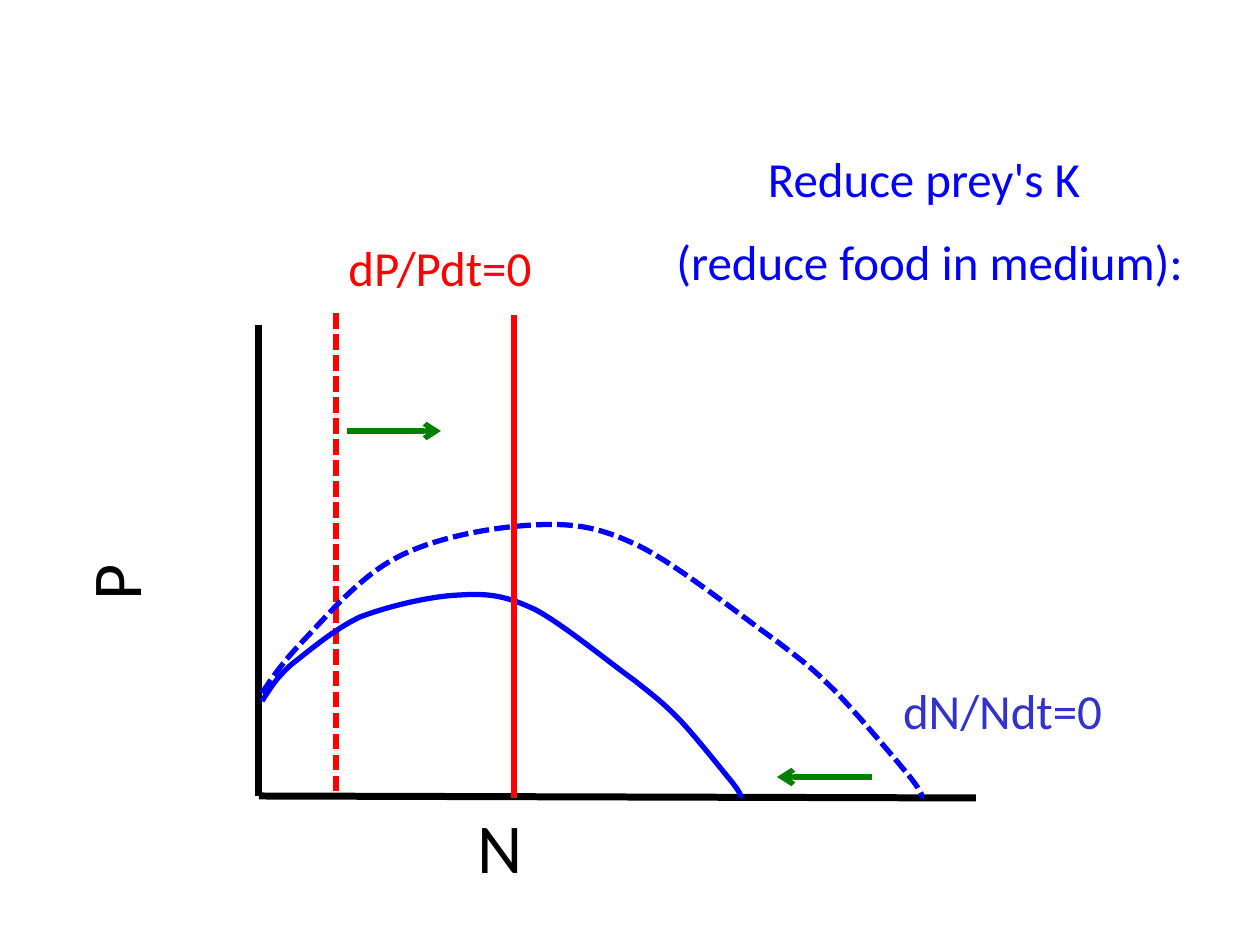
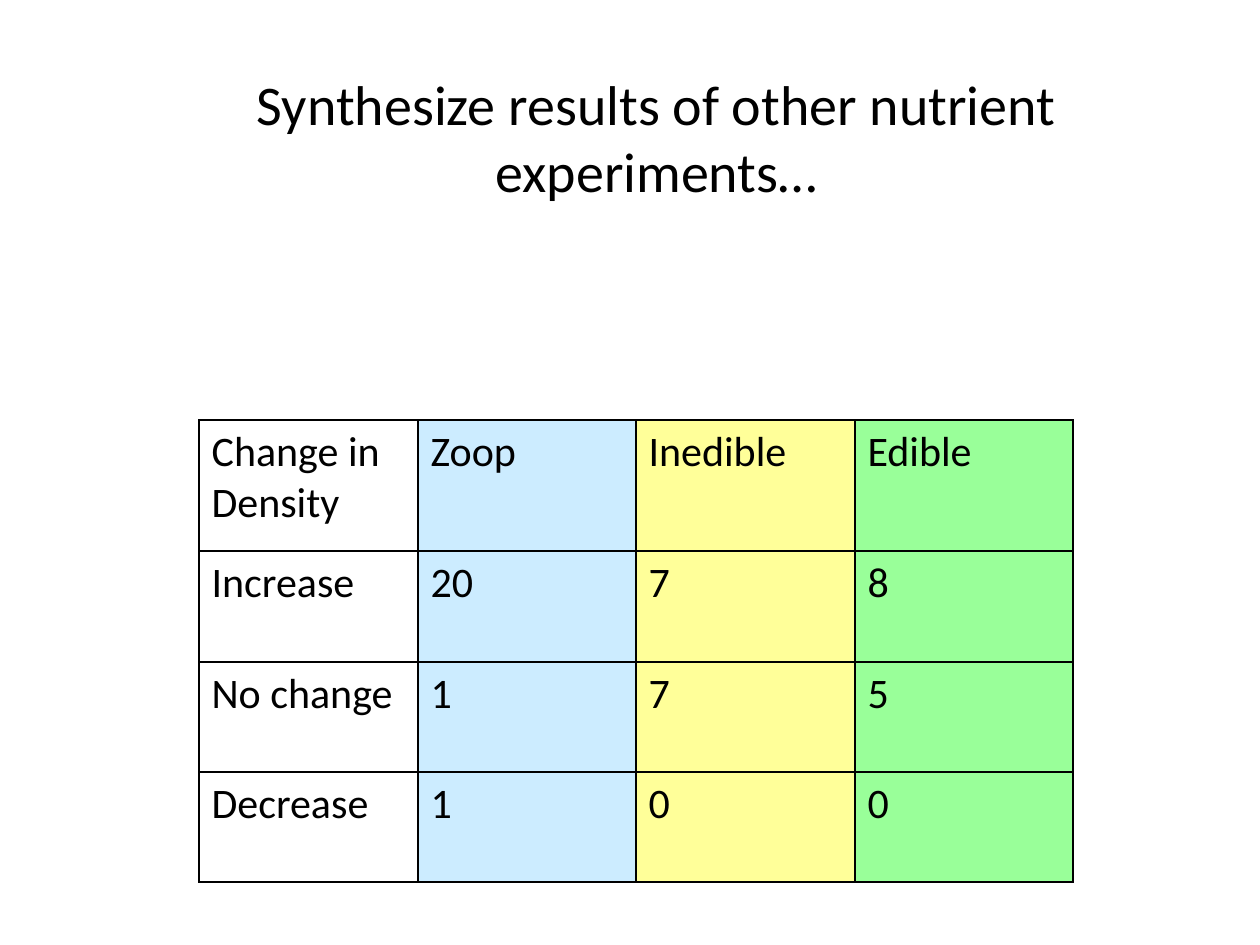
from lxml.etree import SubElement
from pptx import Presentation
from pptx.dml.color import RGBColor
from pptx.enum.dml import MSO_LINE
from pptx.enum.shapes import MSO_CONNECTOR
from pptx.enum.text import MSO_ANCHOR, MSO_AUTO_SIZE, PP_ALIGN
from pptx.oxml.ns import qn
from pptx.util import Pt

EMU_PER_PX = 914400 / 126
FONT = "Calibri"
TITLE_ONLY = 5

BLACK = RGBColor(0x00, 0x00, 0x00)
RED = RGBColor(0xFF, 0x00, 0x00)
BLUE = RGBColor(0x00, 0x00, 0xFF)
INDIGO = RGBColor(0x33, 0x33, 0xCC)
GREEN = RGBColor(0x00, 0x80, 0x00)
PALE_BLUE = RGBColor(0xCC, 0xEC, 0xFF)
PALE_YELLOW = RGBColor(0xFF, 0xFF, 0x99)
PALE_GREEN = RGBColor(0x99, 0xFF, 0x99)

HIGH_K_ISOCLINE = [
    (262, 693), (272, 678), (282, 663), (304, 640), (326, 617),
    (360, 576), (398, 557), (436, 537), (494, 527), (534, 525),
    (575, 523), (599, 527), (639, 546), (679, 566), (741, 616),
    (775, 640), (808, 665), (814, 670), (837, 693), (859, 716),
    (896, 760), (910, 777), (924, 795), (922, 796), (921, 798),
]
LOW_K_ISOCLINE = [
    (262, 701), (270, 689), (276, 678), (292, 664), (309, 651),
    (333, 630), (360, 617), (389, 606), (431, 596), (460, 595),
    (489, 593), (507, 596), (536, 610), (564, 625), (610, 663),
    (634, 680), (658, 699), (663, 703), (679, 719), (696, 737),
    (722, 770), (732, 782), (742, 795), (741, 796), (740, 798),
]

DENSITY_CHANGES = [
    ["Change in Density", "Zoop", "Inedible", "Edible"],
    ["Increase", "20", "7", "8"],
    ["No change", "1", "7", "5"],
    ["Decrease", "1", "0", "0"],
]
COLUMN_FILLS = [None, PALE_BLUE, PALE_YELLOW, PALE_GREEN]
COLUMN_WIDTHS = [219, 218, 219, 218]
ROW_HEIGHTS = [131, 111, 110, 110]


def px(length):
    """Turn a length in px into EMU."""
    return round(length * EMU_PER_PX)


def write(frame, text, size, color, align=PP_ALIGN.LEFT):
    """Put text in a frame and format every paragraph alike."""
    frame.text = text
    for index, paragraph in enumerate(frame.paragraphs):
        paragraph.alignment = align
        paragraph.space_before = Pt(size / 2 if index else 0)
        for run in paragraph.runs:
            run.font.name = FONT
            run.font.size = Pt(size)
            run.font.color.rgb = color


def add_titled_slide(deck, title, box, size, color):
    """Add a slide whose title placeholder fills the given box."""
    slide = deck.slides.add_slide(deck.slide_layouts[TITLE_ONLY])
    heading = slide.shapes.title
    heading.left, heading.top, heading.width, heading.height = map(px, box)
    frame = heading.text_frame
    frame.auto_size = MSO_AUTO_SIZE.NONE
    frame.vertical_anchor = MSO_ANCHOR.TOP
    write(frame, title, size, color, PP_ALIGN.CENTER)
    return slide


def add_isocline_label(slide, text, box, color, align=PP_ALIGN.LEFT):
    """Add the equation that names an isocline."""
    label = slide.shapes.add_textbox(*map(px, box))
    label.text_frame.word_wrap = True
    write(label.text_frame, text, 28, color, align)


def add_axis_label(slide, text, box, rotation=0):
    """Add the large letter that names an axis."""
    label = slide.shapes.add_textbox(*map(px, box))
    label.rotation = rotation
    label.text_frame.word_wrap = False
    write(label.text_frame, text, 40, BLACK)
    label.text_frame.paragraphs[0].line_spacing = 1.15


def style_line(line, color, width, dashed=False):
    """Set the colour, width in points and dash of a line."""
    line.color.rgb = color
    line.width = Pt(width)
    if dashed:
        line.dash_style = MSO_LINE.SQUARE_DOT


def add_line(slide, start, end, color, width=3, dashed=False, arrow=False):
    """Add a straight line, with an arrowhead at its end if wanted."""
    connector = slide.shapes.add_connector(
        MSO_CONNECTOR.STRAIGHT, *map(px, start + end))
    style_line(connector.line, color, width, dashed)
    properties = connector._element.spPr
    if arrow:
        SubElement(properties.find(qn("a:ln")), qn("a:tailEnd"), type="arrow")
    SubElement(properties, qn("a:effectLst"))


def round_segments(curve):
    """Turn each three straight segments of an outline into one Bezier."""
    outline = curve._element.spPr.find(".//" + qn("a:path"))
    segments = outline.findall(qn("a:lnTo"))
    for first in range(0, len(segments), 3):
        bezier = SubElement(outline, qn("a:cubicBezTo"))
        for segment in segments[first:first + 3]:
            bezier.append(segment[0])
            outline.remove(segment)


def add_curve(slide, controls, color, dashed=False):
    """Add an open smooth curve through a chain of Bezier controls."""
    start, *others = [(px(x), px(y)) for x, y in controls]
    builder = slide.shapes.build_freeform(*start)
    builder.add_line_segments(others, close=False)
    curve = builder.convert_to_shape()
    round_segments(curve)
    curve.fill.background()
    curve.shadow.inherit = False
    style_line(curve.line, color, 3, dashed)


def add_borders(cell):
    """Draw a thin black line on each side of a cell."""
    properties = cell._tc.get_or_add_tcPr()
    for side in ("lnL", "lnR", "lnT", "lnB"):
        border = SubElement(properties, qn(f"a:{side}"), w=str(Pt(1)))
        fill = SubElement(border, qn("a:solidFill"))
        SubElement(fill, qn("a:srgbClr"), val=str(BLACK))


def add_density_table(slide, left, top):
    """Add the table of density changes, one fill per column."""
    table = slide.shapes.add_table(
        len(ROW_HEIGHTS), len(COLUMN_WIDTHS), px(left), px(top),
        px(sum(COLUMN_WIDTHS)), px(sum(ROW_HEIGHTS))).table
    table.first_row = table.horz_banding = False
    for column, width in zip(table.columns, COLUMN_WIDTHS):
        column.width = px(width)
    for row, height, values in zip(table.rows, ROW_HEIGHTS, DENSITY_CHANGES):
        row.height = px(height)
        for cell, value, tint in zip(row.cells, values, COLUMN_FILLS):
            write(cell.text_frame, value, 24, BLACK)
            add_borders(cell)
            if tint is None:
                cell.fill.background()
            else:
                cell.fill.solid()
                cell.fill.fore_color.rgb = tint


def build_isocline_slide(deck):
    """Show how lowering the prey's K moves both isoclines."""
    slide = add_titled_slide(
        deck, "Reduce prey's K \n(reduce food in medium):",
        (641, 142, 577, 161), 28, BLUE)
    add_line(slide, (259, 325), (259, 796), BLACK, 4)
    add_line(slide, (259, 796), (976, 798), BLACK, 4)
    add_axis_label(slide, "N", (465, 785, 81, 110))
    add_axis_label(slide, "P", (74, 526, 66, 108), 270)
    add_isocline_label(
        slide, "dN/Ndt=0", (829, 674, 347, 72), INDIGO, PP_ALIGN.CENTER)
    add_line(slide, (336, 313), (336, 796), RED, dashed=True)
    add_isocline_label(slide, "dP/Pdt=0", (336, 231, 347, 72), RED)
    add_curve(slide, HIGH_K_ISOCLINE, BLUE, dashed=True)
    add_curve(slide, LOW_K_ISOCLINE, BLUE)
    add_line(slide, (514, 315), (514, 798), RED)
    add_line(slide, (347, 431), (441, 431), GREEN, arrow=True)
    add_line(slide, (872, 777), (777, 777), GREEN, arrow=True)


def build_results_slide(deck):
    """Tabulate the results of other nutrient experiments."""
    slide = add_titled_slide(
        deck, "Synthesize results of other nutrient experiments…",
        (126, 63, 1061, 149), 32, BLACK)
    add_density_table(slide, 199, 420)


def main():
    """Build and save the deck."""
    deck = Presentation()
    deck.slide_width, deck.slide_height = px(1260), px(945)
    build_isocline_slide(deck)
    build_results_slide(deck)
    deck.save("out.pptx")


if __name__ == "__main__":
    main()
